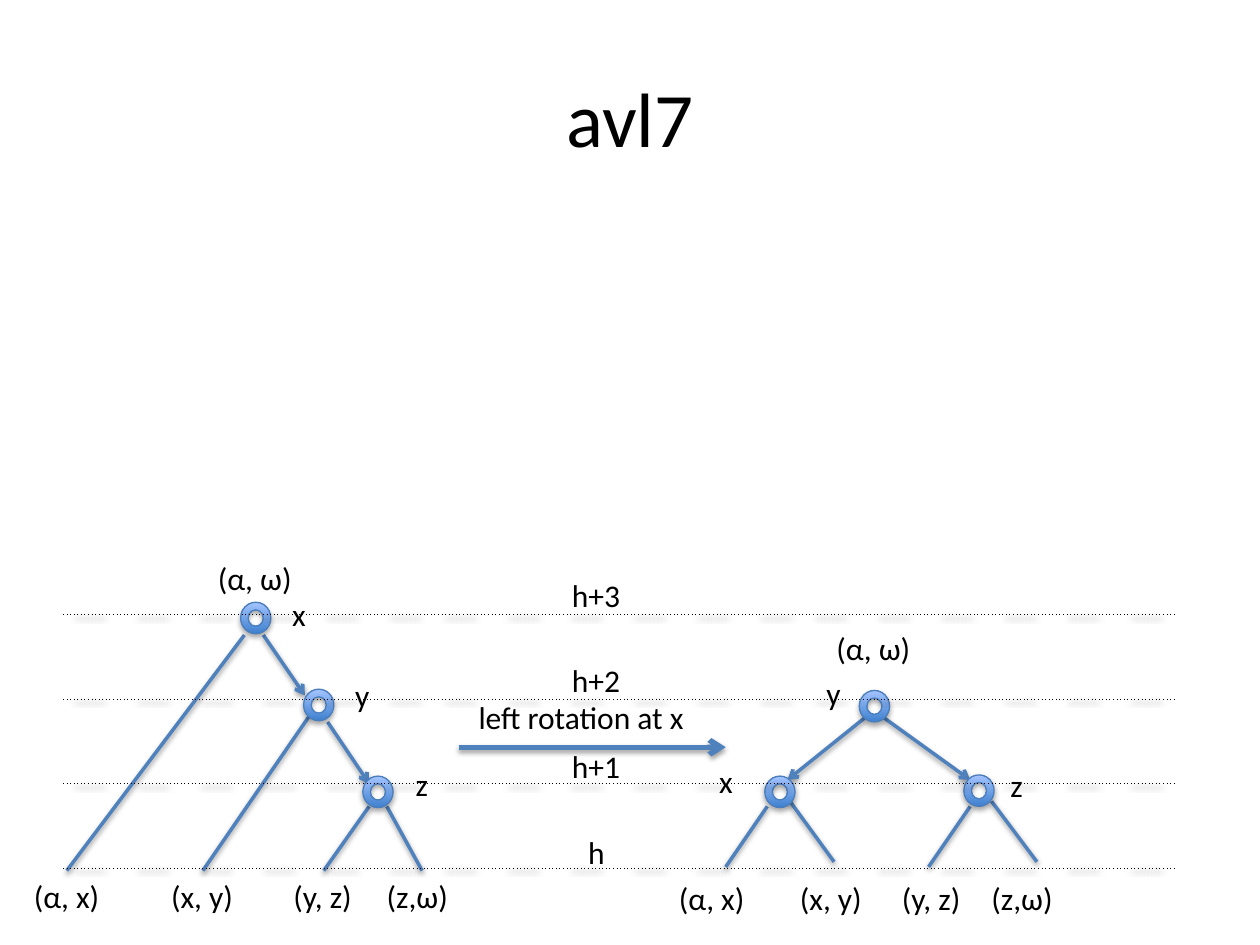
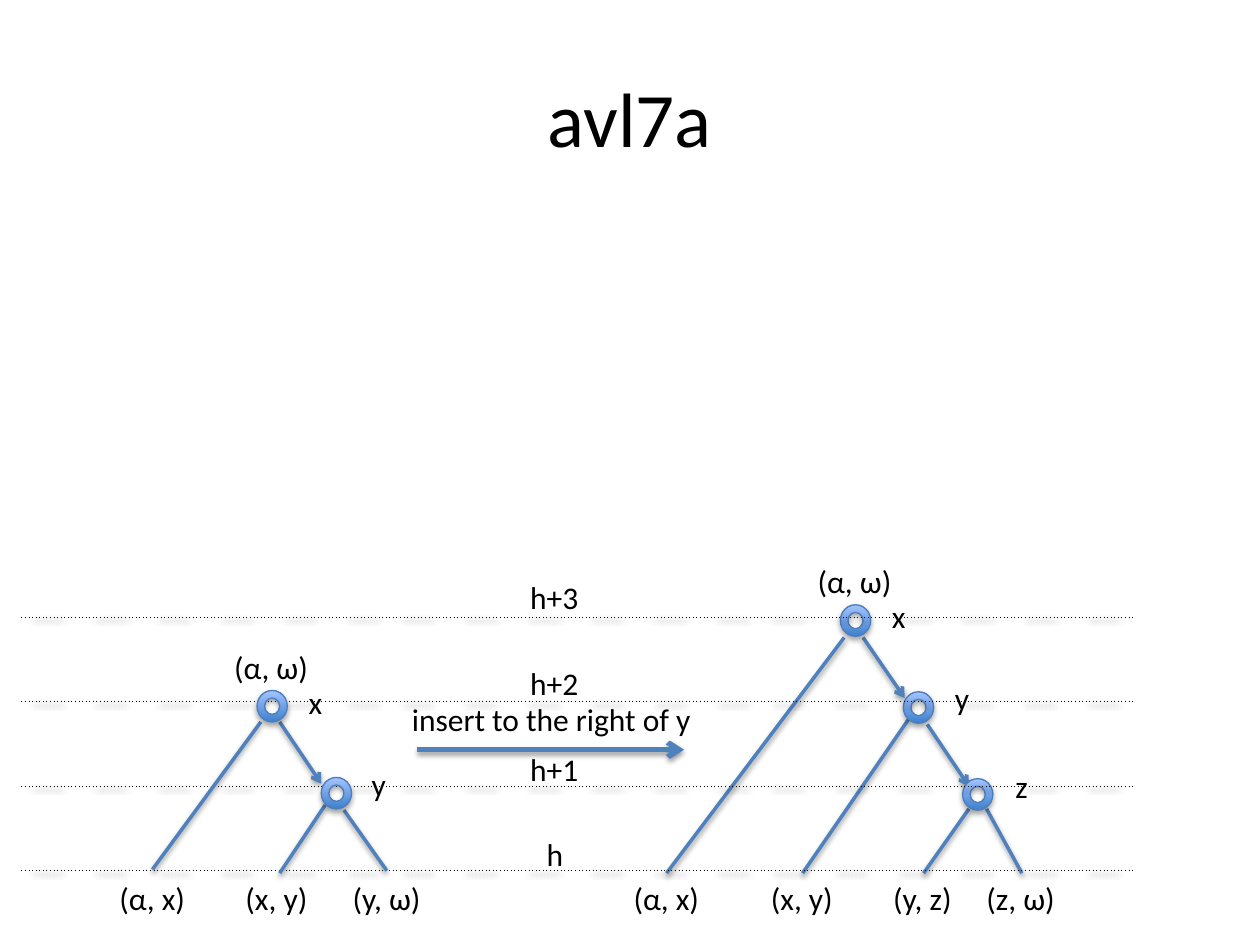
"""Draw AVL trees before and after an insertion and a left rotation."""
from typing import NamedTuple

from lxml.etree import SubElement
from pptx import Presentation
from pptx.dml.color import RGBColor
from pptx.enum.shapes import MSO_CONNECTOR as Connector, MSO_SHAPE as Shape
from pptx.enum.text import MSO_ANCHOR as Anchor, MSO_AUTO_SIZE as AutoSize, PP_ALIGN as Align
from pptx.oxml.ns import qn
from pptx.util import Emu, Pt

PX_PER_INCH = 100
EMU_PER_PX = 914400 // PX_PER_INCH
FONT = "Calibri"
COLORS = {
    "text": "000000",
    "edge": "4F81BD",
    "node_line": "4B7EBC",
    "node_dark": "3F80CE",
    "node_light": "A4C4FF",
    "shadow": "000000",
}
NODE_WIDTH, NODE_HEIGHT = 24, 25
LABEL_HEIGHT = 40
LABEL_WIDTHS = {
    "x": 31, "y": 32, "z": 30, "h": 33, "h+1": 59, "h+2": 59, "h+3": 59,
    "(α, ω)": 79, "(α, x)": 73, "(x, y)": 70, "(y, z)": 67,
    "(z,ω)": 75, "(z, ω)": 75, "(y, ω)": 75,
    "left rotation at x": 186, "insert to the right of y": 245,
}
LEVELS = ("h+3", "h+2", "h+1", "h")


class Label(NamedTuple):
    """A text with its left and top in px."""
    text: str
    left: int
    top: int


class Node(NamedTuple):
    """The left and top of a tree node in px."""
    left: int
    top: int


class Edge(NamedTuple):
    """A line between two points in px, with an arrowhead for a child node."""
    x1: int
    y1: int
    x2: int
    y2: int
    arrow: bool = False


class Tree(NamedTuple):
    """The edges, nodes and labels of one tree."""
    edges: list[Edge]
    nodes: list[Node]
    labels: list[Label]


def px(length: int) -> Emu:
    """Turn px into EMU."""
    return Emu(length * EMU_PER_PX)


def color(name: str) -> RGBColor:
    """Look up a named colour."""
    return RGBColor.from_string(COLORS[name])


def write_text(frame, text: str, *, size: int = 18, align=Align.LEFT, anchor=Anchor.TOP,
               wrap: bool = False) -> None:
    """Fill a text frame with one formatted paragraph."""
    frame.word_wrap = wrap
    frame.vertical_anchor = anchor
    paragraph = frame.paragraphs[0]
    paragraph.text = text
    paragraph.alignment = align
    paragraph.font.name = FONT
    paragraph.font.size = Pt(size)
    paragraph.font.color.rgb = color("text")


def add_shadow(effects, distance: float, opacity: int) -> None:
    """Put a soft downward shadow in an effect list."""
    shadow = SubElement(effects, qn("a:outerShdw"), blurRad=str(Pt(3.1)), dist=str(Pt(distance)),
                        dir="5400000", rotWithShape="0")
    fill = SubElement(shadow, qn("a:srgbClr"), val=COLORS["shadow"])
    SubElement(fill, qn("a:alpha"), val=str(opacity * 1000))


def add_label(slide, label: Label) -> None:
    """Draw a label that grows with its text."""
    box = slide.shapes.add_textbox(px(label.left), px(label.top),
                                   px(LABEL_WIDTHS[label.text]), px(LABEL_HEIGHT))
    write_text(box.text_frame, label.text)
    box.text_frame.auto_size = AutoSize.SHAPE_TO_FIT_TEXT


def add_line(slide, edge: Edge, *, width: float = 2, name: str = "edge",
             dotted: bool = False) -> None:
    """Draw a straight shadowed line."""
    line = slide.shapes.add_connector(Connector.STRAIGHT, px(edge.x1), px(edge.y1),
                                      px(edge.x2), px(edge.y2))
    line.line.width = Pt(width)
    line.line.color.rgb = color(name)
    properties = line.element.spPr
    outline = properties.find(qn("a:ln"))
    if dotted:
        SubElement(outline, qn("a:prstDash"), val="dot")
    if edge.arrow:
        SubElement(outline, qn("a:tailEnd"), type="arrow")
    add_shadow(SubElement(properties, qn("a:effectLst")), 1.6, 38)


def add_node(slide, node: Node) -> None:
    """Draw a tree node as a shaded ring."""
    ring = slide.shapes.add_shape(Shape.DONUT, px(node.left), px(node.top),
                                  px(NODE_WIDTH), px(NODE_HEIGHT))
    ring.fill.gradient()
    ring.fill.gradient_angle = 90
    for stop, name in zip(ring.fill.gradient_stops, ("node_dark", "node_light")):
        stop.color.rgb = color(name)
    for stop, position in zip(ring.fill.gradient_stops, (0, 1)):
        stop.position = position
    ring.line.color.rgb = color("node_line")
    ring.line.width = Pt(0.75)
    ring.shadow.inherit = False
    add_shadow(ring.element.spPr.find(qn("a:effectLst")), 1.8, 35)


def add_tree(slide, tree: Tree, dx: int = 0, dy: int = 0) -> None:
    """Draw a tree shifted by dx and dy."""
    for label in tree.labels:
        add_label(slide, Label(label.text, label.left + dx, label.top + dy))
    for edge in tree.edges:
        add_line(slide, Edge(edge.x1 + dx, edge.y1 + dy, edge.x2 + dx, edge.y2 + dy, edge.arrow))
    for node in tree.nodes:
        add_node(slide, Node(node.left + dx, node.top + dy))


def add_levels(slide, operation: Label, dx: int = 0, dy: int = 0) -> None:
    """Draw the height lines, their labels and the operation arrow."""
    for index, text in enumerate(LEVELS):
        height = 488 + 67 * index + dy
        add_line(slide, Edge(50 + dx, height, 934 + dx, height), width=0.5, name="text",
                 dotted=True)
        center = 473 + dx
        add_label(slide, Label(text, center - LABEL_WIDTHS[text] // 2, 452 + 68 * index + dy))
    add_line(slide, Edge(364 + dx, 593 + dy, 576 + dx, 593 + dy, arrow=True), width=3)
    add_label(slide, operation)


def add_titled_slide(presentation, title: str):
    """Add a title-only slide with its title in place."""
    slide = presentation.slides.add_slide(presentation.slide_layouts[5])
    shape = slide.shapes.title
    shape.left, shape.top, shape.width, shape.height = px(50), px(30), px(900), px(125)
    write_text(shape.text_frame, title, size=44, align=Align.CENTER, anchor=Anchor.MIDDLE,
               wrap=True)
    return slide


def chain_tree(last_leaf: str) -> Tree:
    """Describe the right-leaning chain x, y, z."""
    return Tree(
        edges=[
            Edge(209, 504, 242, 552, arrow=True), Edge(194, 504, 53, 691),
            Edge(245, 569, 161, 691), Edge(260, 573, 293, 622, arrow=True),
            Edge(293, 640, 257, 691), Edge(307, 640, 335, 691),
        ],
        nodes=[Node(191, 478), Node(241, 547), Node(288, 616)],
        labels=[
            Label("x", 222, 467), Label("y", 272, 532), Label("z", 320, 602),
            Label("(α, ω)", 163, 439), Label("(α, x)", 17, 691), Label("(x, y)", 126, 691),
            Label("(y, z)", 223, 691), Label(last_leaf, 297, 691),
        ],
    )


BALANCED_TREE = Tree(
    edges=[
        Edge(627, 636, 662, 684), Edge(609, 640, 576, 688),
        Edge(787, 636, 823, 684), Edge(770, 640, 737, 688),
        Edge(686, 570, 625, 619, arrow=True), Edge(702, 570, 770, 619, arrow=True),
    ],
    nodes=[Node(682, 548), Node(765, 615), Node(607, 616)],
    labels=[
        Label("x", 561, 600), Label("y", 646, 530), Label("z", 792, 603),
        Label("(α, ω)", 654, 494), Label("(α, x)", 529, 693), Label("(x, y)", 625, 693),
        Label("(y, z)", 706, 693), Label("(z,ω)", 777, 693),
    ],
)
TWO_NODE_TREE = Tree(
    edges=[
        Edge(222, 573, 255, 622, arrow=True), Edge(207, 573, 121, 690),
        Edge(258, 639, 222, 693), Edge(273, 643, 307, 691),
    ],
    nodes=[Node(204, 548), Node(255, 617)],
    labels=[
        Label("x", 235, 537), Label("y", 285, 602), Label("(α, ω)", 176, 509),
        Label("(α, x)", 85, 693), Label("(x, y)", 185, 693), Label("(y, ω)", 270, 693),
    ],
)


def main() -> None:
    """Build both slides and save them."""
    presentation = Presentation()
    presentation.slide_width, presentation.slide_height = px(1000), px(750)

    rotation = add_titled_slide(presentation, "avl7")
    add_tree(rotation, BALANCED_TREE)
    add_tree(rotation, chain_tree("(z,ω)"))
    add_levels(rotation, Label("left rotation at x", 370, 549))

    insertion = add_titled_slide(presentation, "avl7a")
    add_tree(insertion, chain_tree("(z, ω)"), dx=476, dy=2)
    add_levels(insertion, Label("insert to the right of y", 317, 551), dx=-33, dy=2)
    add_tree(insertion, TWO_NODE_TREE)

    presentation.save("out.pptx")


if __name__ == "__main__":
    main()
